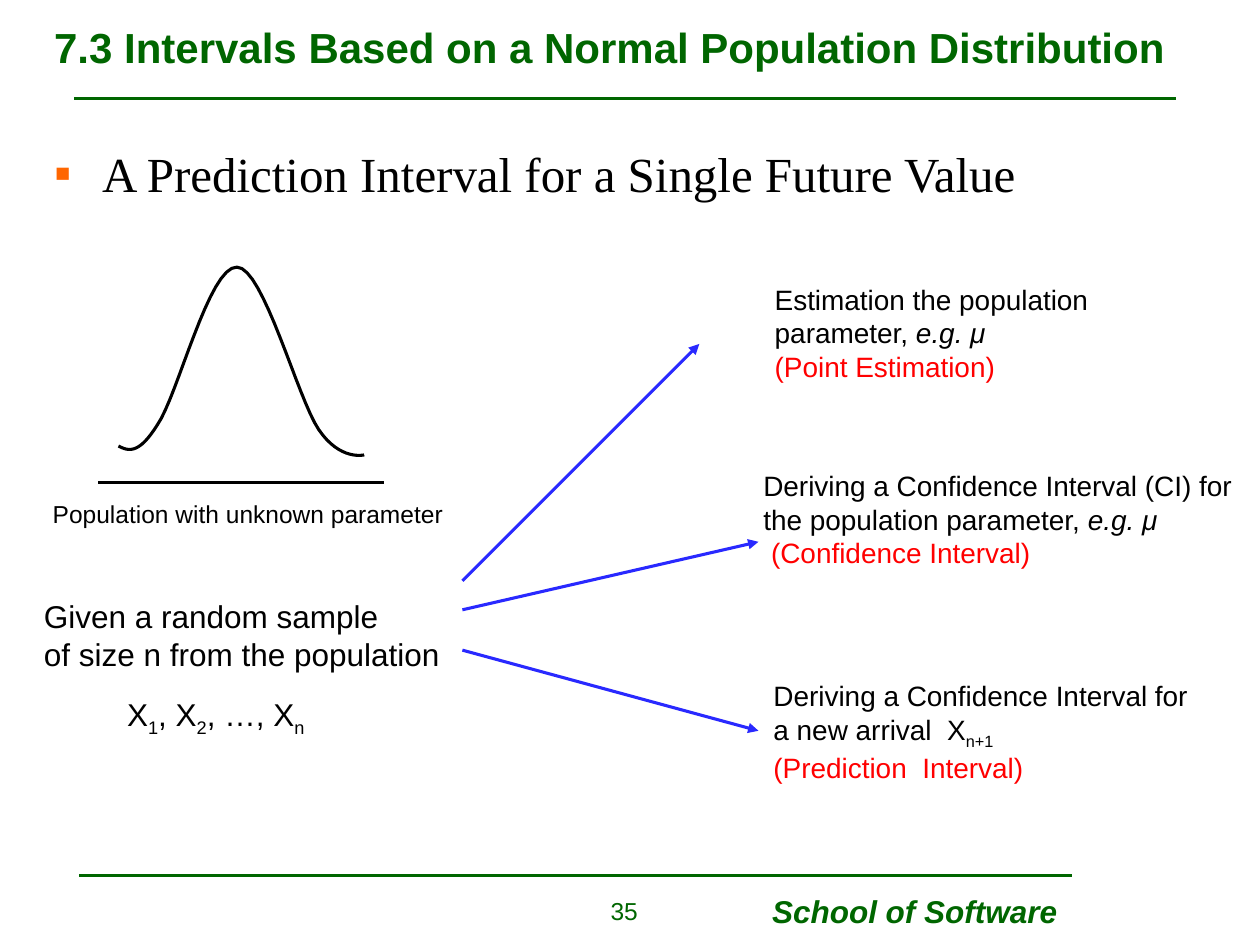
from dataclasses import dataclass

from lxml.etree import SubElement
from pptx import Presentation
from pptx.dml.color import RGBColor
from pptx.enum.shapes import MSO_CONNECTOR
from pptx.enum.text import MSO_ANCHOR, MSO_AUTO_SIZE, PP_ALIGN
from pptx.oxml.ns import qn
from pptx.util import Inches, Pt


@dataclass(frozen=True)
class Theme:
    green: str = "006600"
    black: str = "000000"
    red: str = "FF0000"
    blue: str = "2929FF"
    orange: str = "FF6600"
    sans: str = "Arial"
    serif: str = "Times New Roman"
    title_size: int = 24
    heading_size: int = 28
    sample_size: int = 18
    outcome_size: int = 16
    small_size: int = 14
    rule_width: float = 1.5
    drawing_width: float = 1.75


class SlideBuilder:
    def __init__(self, slide, theme):
        self.slide = slide
        self.theme = theme

    def place(self, shape, left, top, width, height):
        shape.left, shape.top = Inches(left), Inches(top)
        shape.width, shape.height = Inches(width), Inches(height)

    def style(self, font, size, color, name=None, bold=False, italic=False):
        font.name = name or self.theme.sans
        font.size = Pt(size)
        font.bold, font.italic = bold, italic
        font.color.rgb = RGBColor.from_string(color)

    def title(self, text, box):
        shape = self.slide.shapes.title
        self.place(shape, *box)
        text_frame = shape.text_frame
        text_frame.text = text
        text_frame.auto_size = MSO_AUTO_SIZE.NONE
        text_frame.vertical_anchor = MSO_ANCHOR.MIDDLE
        paragraph = text_frame.paragraphs[0]
        paragraph.alignment = PP_ALIGN.LEFT
        self.style(paragraph.runs[0].font, self.theme.title_size, self.theme.green, bold=True)

    def bullet(self, text, box):
        shape = self.slide.placeholders[1]
        self.place(shape, *box)
        text_frame = shape.text_frame
        text_frame.text = text
        text_frame.auto_size = MSO_AUTO_SIZE.NONE
        paragraph = text_frame.paragraphs[0]
        paragraph.space_before = Pt(0)
        properties = paragraph._p.get_or_add_pPr()
        properties.set("marL", str(Inches(0.38)))
        properties.set("indent", str(Inches(-0.38)))
        color = SubElement(properties, qn("a:buClr"))
        SubElement(color, qn("a:srgbClr"), val=self.theme.orange)
        SubElement(properties, qn("a:buFont"), typeface=self.theme.sans)
        SubElement(properties, qn("a:buChar"), char="▪")
        self.style(paragraph.runs[0].font, self.theme.heading_size, self.theme.black, self.theme.serif)

    def text(self, lines, box, size, color=None, wrap=False, align=PP_ALIGN.LEFT, bold=False, italic=False):
        shape = self.slide.shapes.add_textbox(*map(Inches, box))
        text_frame = shape.text_frame
        text_frame.word_wrap = wrap
        text_frame.auto_size = MSO_AUTO_SIZE.SHAPE_TO_FIT_TEXT
        for index, pieces in enumerate(lines):
            paragraph = text_frame.add_paragraph() if index else text_frame.paragraphs[0]
            paragraph.alignment = align
            for content, role in pieces:
                run = paragraph.add_run()
                run.text = content
                run_color = self.theme.red if role == "result" else color or self.theme.black
                self.style(run.font, size, run_color, bold=bold, italic=italic or role == "italic")
                if role == "subscript":
                    run._r.get_or_add_rPr().set("baseline", "-25000")

    def line(self, start, end, color, width, arrow=False):
        connector = self.slide.shapes.add_connector(
            MSO_CONNECTOR.STRAIGHT, *map(Inches, (*start, *end)))
        connector.line.color.rgb = RGBColor.from_string(color)
        connector.line.width = Pt(width)
        if arrow:
            SubElement(connector.line._get_or_add_ln(), qn("a:tailEnd"), type="triangle")
        SubElement(connector._element.spPr, qn("a:effectLst"))

    def curve(self, start, segments, steps=16):
        points = []
        origin = start
        for first, second, end in segments:
            for step in range(1, steps + 1):
                t = step / steps
                weights = ((1 - t) ** 3, 3 * t * (1 - t) ** 2, 3 * t * t * (1 - t), t ** 3)
                controls = (origin, first, second, end)
                points.append(tuple(
                    Inches(sum(weight * point[axis] for weight, point in zip(weights, controls)))
                    for axis in (0, 1)))
            origin = end
        builder = self.slide.shapes.build_freeform(*map(Inches, start))
        builder.add_line_segments(points, close=False)
        shape = builder.convert_to_shape()
        shape.shadow.inherit = False
        shape.fill.background()
        shape.line.color.rgb = RGBColor.from_string(self.theme.black)
        shape.line.width = Pt(self.theme.drawing_width)


def main():
    presentation = Presentation()
    presentation.slide_width, presentation.slide_height = Inches(10), Inches(7.5)
    theme = Theme()
    builder = SlideBuilder(presentation.slides.add_slide(presentation.slide_layouts[1]), theme)

    builder.line((0.59, 0.78), (9.33, 0.78), theme.green, theme.rule_width)
    builder.line((0.63, 6.95), (8.51, 6.95), theme.green, theme.rule_width)
    builder.text([[("School of Software", "")]], (6.03, 7.03, 2.7, 0.4),
                 theme.sample_size, theme.green, wrap=True, bold=True, italic=True)
    builder.bullet("A Prediction Interval for a Single Future Value", (0.33, 1.09, 9.34, 5.78))
    builder.title("7.3 Intervals Based on a Normal Population Distribution", (0.33, 0.03, 9.34, 0.68))
    builder.text([[("35", "")]], (4.14, 7.06, 1.02, 0.36),
                 theme.small_size, theme.green, wrap=True, align=PP_ALIGN.RIGHT)

    builder.line((0.78, 3.83), (3.05, 3.83), theme.black, theme.drawing_width)
    builder.curve((0.94, 3.54), [
        ((1.02, 3.58), (1.1, 3.61), (1.25, 3.37)),
        ((1.41, 3.14), (1.66, 2.11), (1.88, 2.12)),
        ((2.09, 2.12), (2.36, 3.16), (2.53, 3.41)),
        ((2.7, 3.66), (2.89, 3.61), (2.89, 3.61)),
    ])
    builder.text([[("Population with unknown parameter", "")]], (0.32, 3.91, 3.3, 0.34), theme.small_size)
    builder.text([[("Given a random sample", "")], [("of size n from the population", "")]],
                 (0.25, 4.69, 3.34, 0.7), theme.sample_size)
    builder.text([[("X", ""), ("1", "subscript"), (", X", ""), ("2", "subscript"),
                   (", …, X", ""), ("n", "subscript")]],
                 (0.91, 5.47, 1.61, 0.44), theme.sample_size)

    outcomes = [
        ([[("Estimation the population", "")],
          [("parameter, ", ""), ("e.g. μ", "italic")],
          [("(Point Estimation)", "result")]],
         (6.05, 2.19, 3.09, 0.9), True, (3.67, 4.61), (5.55, 2.73)),
        ([[("Deriving a Confidence Interval (CI) for", "")],
          [("the population parameter, ", ""), ("e.g. μ", "italic")],
          [(" (Confidence Interval)", "result")]],
         (5.96, 3.67, 3.98, 0.9), False, (3.67, 4.84), (6.02, 4.3)),
        ([[("Deriving a Confidence Interval for", "")],
          [("a new arrival  X", ""), ("n+1", "subscript")],
          [("(Prediction  Interval)", "result")]],
         (6.04, 5.34, 3.55, 0.94), False, (3.67, 5.16), (6.02, 5.8)),
    ]
    for lines, box, wrap, start, end in outcomes:
        builder.text(lines, box, theme.outcome_size, wrap=wrap)
        builder.line(start, end, theme.blue, theme.drawing_width, arrow=True)

    presentation.save("out.pptx")


if __name__ == "__main__":
    main()
